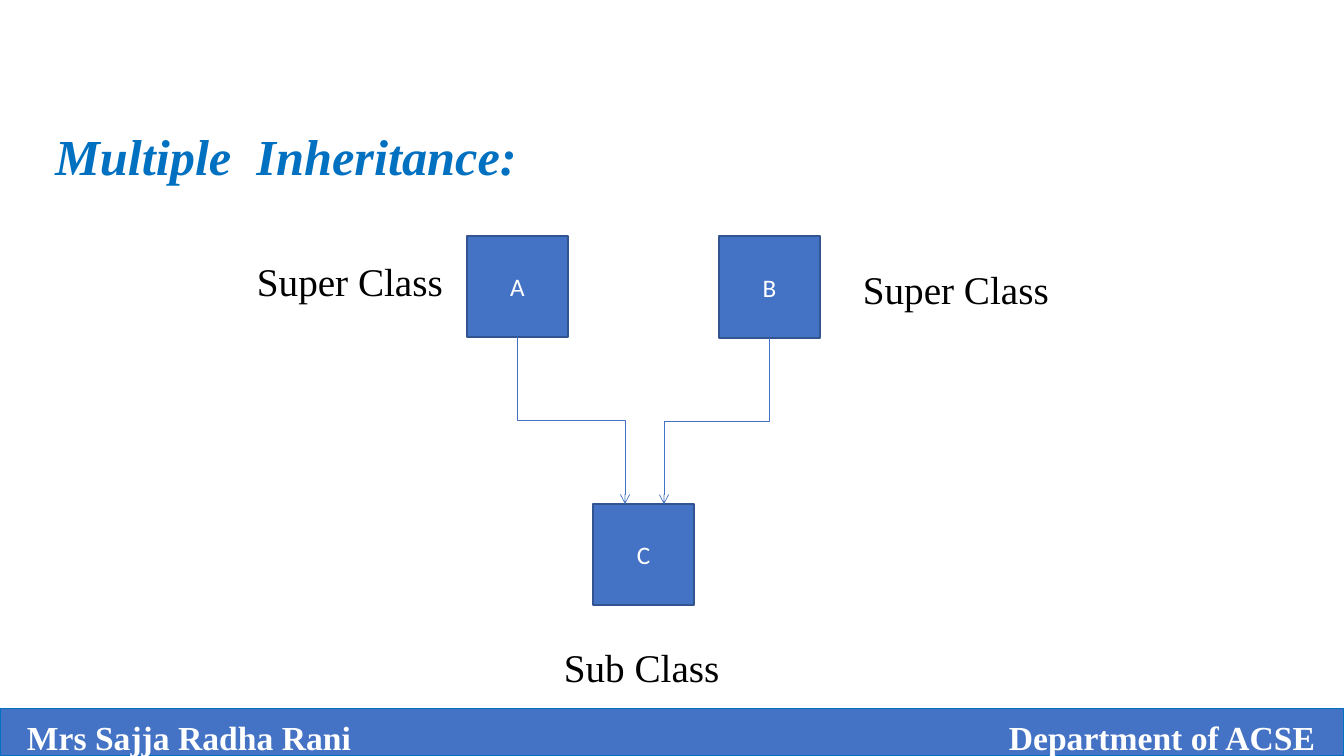
from dataclasses import dataclass
from lxml.etree import SubElement
from pptx import Presentation
from pptx.dml.color import RGBColor
from pptx.enum.shapes import MSO_CONNECTOR, MSO_SHAPE
from pptx.enum.text import MSO_ANCHOR, MSO_AUTO_SIZE, PP_ALIGN
from pptx.oxml.ns import qn
from pptx.util import Pt

TITLE = ("Multiple  Inheritance:", (45, 90, 514, 91))
FOOTER = ("Mrs Sajja Radha Rani\tDepartment of ACSE", (0, 709, 1344, 47))
BOXES = {
    "A": (467, 236, 101, 101),
    "B": (719, 236, 101, 102),
    "C": (593, 504, 101, 101),
}
LABELS = [
    ("Super Class", (247, 252, 208, 57)),
    ("Super Class", (853, 260, 208, 57)),
    ("Sub Class", (554, 638, 177, 57)),
]
LINKS = [("A", "C", 32), ("B", "C", 71)]


@dataclass(frozen=True)
class Theme:
    blue: str = "4472C4"
    edge: str = "325491"
    accent: str = "0070C0"
    white: str = "FFFFFF"
    black: str = "000000"
    serif: str = "Times New Roman"
    sans: str = "Calibri"
    title: int = 36
    label: int = 28
    footer: int = 24
    node: int = 18


THEME = Theme()
PX = 914400 * 10 // 1008


def emu(*vals):
    return [round(v * PX) for v in vals]


def color(code):
    return RGBColor.from_string(code)


def write(shape, text, size, ink, font=THEME.serif, bold=False, italic=False,
          align=PP_ALIGN.LEFT, anchor=MSO_ANCHOR.TOP, space=1.0, wrap=True):
    frame = shape.text_frame
    frame.word_wrap = wrap
    frame.auto_size = MSO_AUTO_SIZE.NONE
    frame.vertical_anchor = anchor
    para = frame.paragraphs[0]
    para.alignment, para.line_spacing = align, space
    run = para.add_run()
    run.text = text
    face = run.font
    face.name, face.size = font, Pt(size)
    face.bold, face.italic = bold, italic
    face.color.rgb = color(ink)
    return frame


def block(slide, area, edge, width):
    shape = slide.shapes.add_shape(MSO_SHAPE.RECTANGLE, *emu(*area))
    shape.shadow.inherit = False
    shape.fill.solid()
    shape.fill.fore_color.rgb = color(THEME.blue)
    shape.line.color.rgb = color(edge)
    shape.line.width = Pt(width)
    return shape


def footer(slide):
    text, area = FOOTER
    shape = block(slide, area, THEME.accent, 0.75)
    frame = write(shape, text, THEME.footer, THEME.white, bold=True)
    frame.margin_left, frame.margin_top = emu(27, 8)
    frame.margin_right = frame.margin_bottom = 0
    props = frame.paragraphs[0]._p.get_or_add_pPr()
    tabs = SubElement(props, qn("a:tabLst"))
    SubElement(tabs, qn("a:tab"), pos=str(emu(1288)[0]), algn="r")


def link(slide, source, target, shift):
    left, top, width, height = BOXES[source]
    x1, y1 = left + width / 2, top + height
    x2, y2 = BOXES[target][0] + shift, BOXES[target][1]
    mid, row = (x1 + x2) / 2, (y1 + y2) / 2
    side = 1 if x2 > x1 else -1
    run, rise = side * (y2 - y1) / 2, abs(x2 - x1) / 2
    line = slide.shapes.add_connector(
        MSO_CONNECTOR.ELBOW, *emu(mid + run, row - rise, mid - run, row + rise))
    line.line.color.rgb = color(THEME.blue)
    line.line.width = Pt(0.5)
    props = line._element.spPr
    props.find(qn("a:xfrm")).set("rot", str((270 if side > 0 else 90) * 60000))
    SubElement(props.find(qn("a:ln")), qn("a:tailEnd"), type="arrow")
    SubElement(props, qn("a:effectLst"))


def main():
    deck = Presentation()
    deck.slide_width, deck.slide_height = emu(1344, 756)
    slide = deck.slides.add_slide(deck.slide_layouts[5])
    footer(slide)

    text, area = TITLE
    head = slide.shapes.title
    head.left, head.top, head.width, head.height = emu(*area)
    write(head, text, THEME.title, THEME.accent, bold=True, italic=True, space=1.5)

    for name, area in BOXES.items():
        write(block(slide, area, THEME.edge, 1), name, THEME.node, THEME.white,
              font=THEME.sans, align=PP_ALIGN.CENTER, anchor=MSO_ANCHOR.MIDDLE)
    for ends in LINKS:
        link(slide, *ends)
    for text, area in LABELS:
        write(slide.shapes.add_textbox(*emu(*area)), text, THEME.label,
              THEME.black, wrap=False)
    deck.save("out.pptx")


if __name__ == "__main__":
    main()
